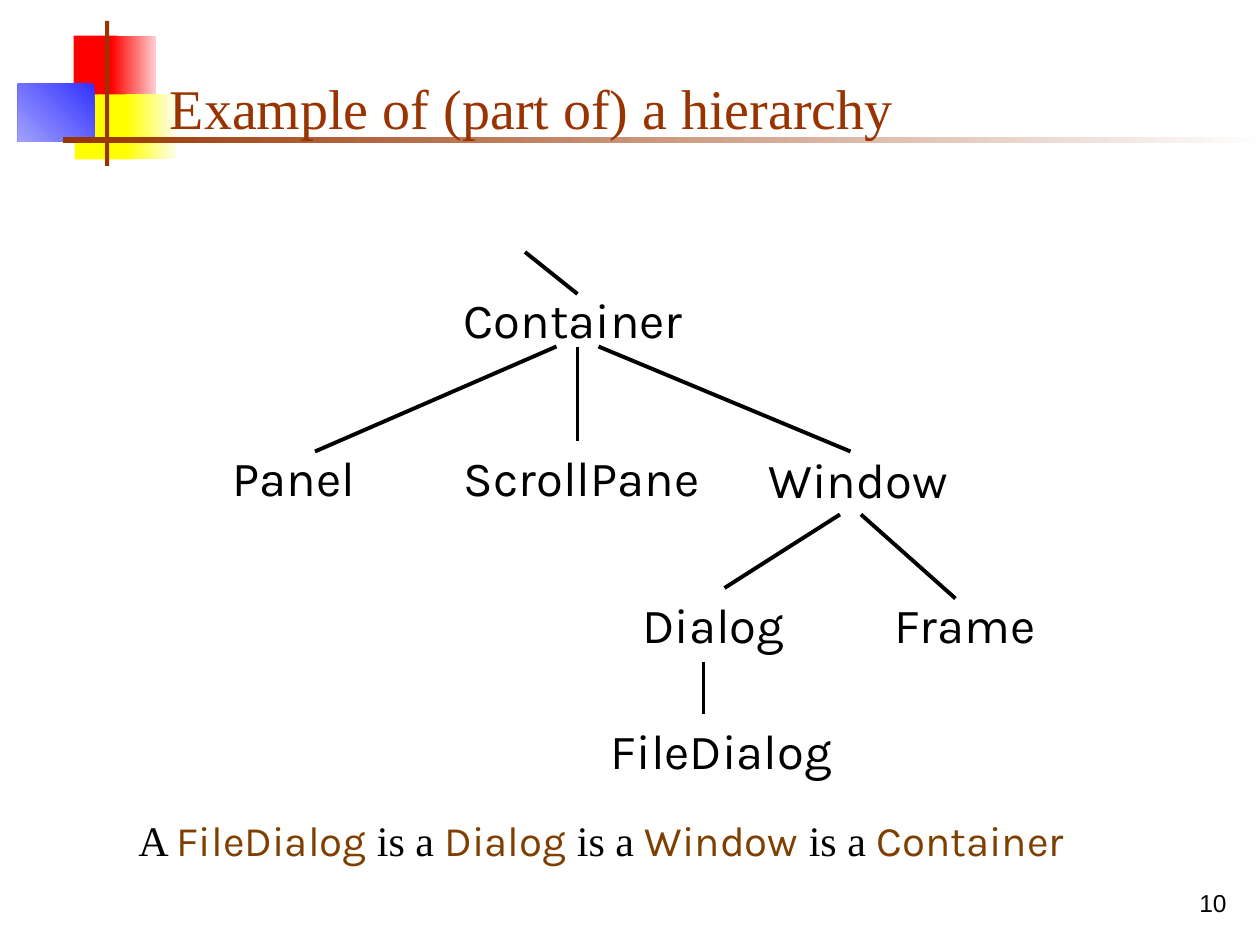
import pptx
import pptx.dml.color
import pptx.enum.shapes
import pptx.enum.text
import pptx.util
import lxml.etree

SCALE = 7620
SERIF = "Times New Roman"
SANS = "Karla"
BLACK = "000000"
RUST = "993300"
BROWN = "7F3F00"


def tint(color, code):
    color.rgb = pptx.dml.color.RGBColor.from_string(code)


def write(box, runs, size, anchor="TOP", align="LEFT", before=0):
    label = slide.shapes.add_textbox(*[n * SCALE for n in box])
    frame = label.text_frame
    frame.word_wrap = True
    frame.vertical_anchor = getattr(pptx.enum.text.MSO_ANCHOR, anchor)
    para = frame.paragraphs[0]
    para.alignment = getattr(pptx.enum.text.PP_ALIGN, align)
    para.space_before = pptx.util.Pt(before)
    for text, face, code in runs:
        run = para.add_run()
        run.text = text
        run.font.name = face
        run.font.size = pptx.util.Pt(size)
        tint(run.font.color, code)


deck = pptx.Presentation()
deck.slide_width = 1200 * SCALE
deck.slide_height = 900 * SCALE
slide = deck.slides.add_slide(deck.slide_layouts[6])

blocks = [
    ((70, 34, 42, 62), ["FF0000"], 0),
    ((106, 34, 43, 62), ["FED0D0", "FF0000"], 180),
    ((71, 90, 55, 62), ["FFFF00"], 0),
    ((120, 90, 48, 62), ["FEFEEF", "FFFF00"], 180),
    ((17, 80, 73, 55), ["3333FF", "A1A1FE"], 225),
    ((100, 20, 4, 138), [RUST], 0),
    ((60, 130, 1140, 6), ["FEFEFE", RUST], 180),
]
for box, codes, angle in blocks:
    block = slide.shapes.add_shape(
        pptx.enum.shapes.MSO_SHAPE.RECTANGLE, *[n * SCALE for n in box])
    block.shadow.inherit = False
    block.line.fill.background()
    if len(codes) == 1:
        block.fill.solid()
        tint(block.fill.fore_color, codes[0])
    else:
        block.fill.gradient()
        block.fill.gradient_angle = angle
        for stop, code in zip(block.fill.gradient_stops, codes):
            tint(stop.color, code)

write((150, 30, 1022, 110),
      [("Example of (part of) a hierarchy", SERIF, RUST)], 32, "BOTTOM")

chain = [("A ", SERIF, BLACK)]
for name in ["FileDialog", "Dialog", "Window", "Container"]:
    if len(chain) > 1:
        chain.append((" is a ", SERIF, BLACK))
    chain.append((name, SANS, BROWN))
write((120, 770, 1010, 60), chain, 24, before=15)

nodes = [
    ("Container", 430, 270, 360, 68),
    ("Panel", 210, 420, 160, 68),
    ("ScrollPane", 430, 420, 250, 125),
    ("Window", 720, 422, 200, 125),
    ("Dialog", 600, 560, 170, 68),
    ("Frame", 840, 560, 170, 68),
    ("FileDialog", 570, 680, 250, 68),
]
for name, *box in nodes:
    write(box, [(name, SANS, BLACK)], 28, before=17.5)

edges = [
    (530, 330, 300, 430),
    (550, 330, 550, 420),
    (570, 330, 810, 430),
    (800, 490, 690, 560),
    (820, 490, 910, 570),
    (670, 630, 670, 680),
    (550, 280, 500, 240),
]
for ends in edges:
    edge = slide.shapes.add_connector(
        pptx.enum.shapes.MSO_CONNECTOR.STRAIGHT, *[n * SCALE for n in ends])
    edge.line.width = pptx.util.Pt(2.25)
    tint(edge.line.color, BLACK)
    lxml.etree.SubElement(edge._element.spPr,
                          pptx.oxml.ns.qn("a:effectLst"))

write((930, 820, 250, 60), [("10", "Arial", BLACK)], 14, "BOTTOM", "RIGHT")

deck.save("out.pptx")
